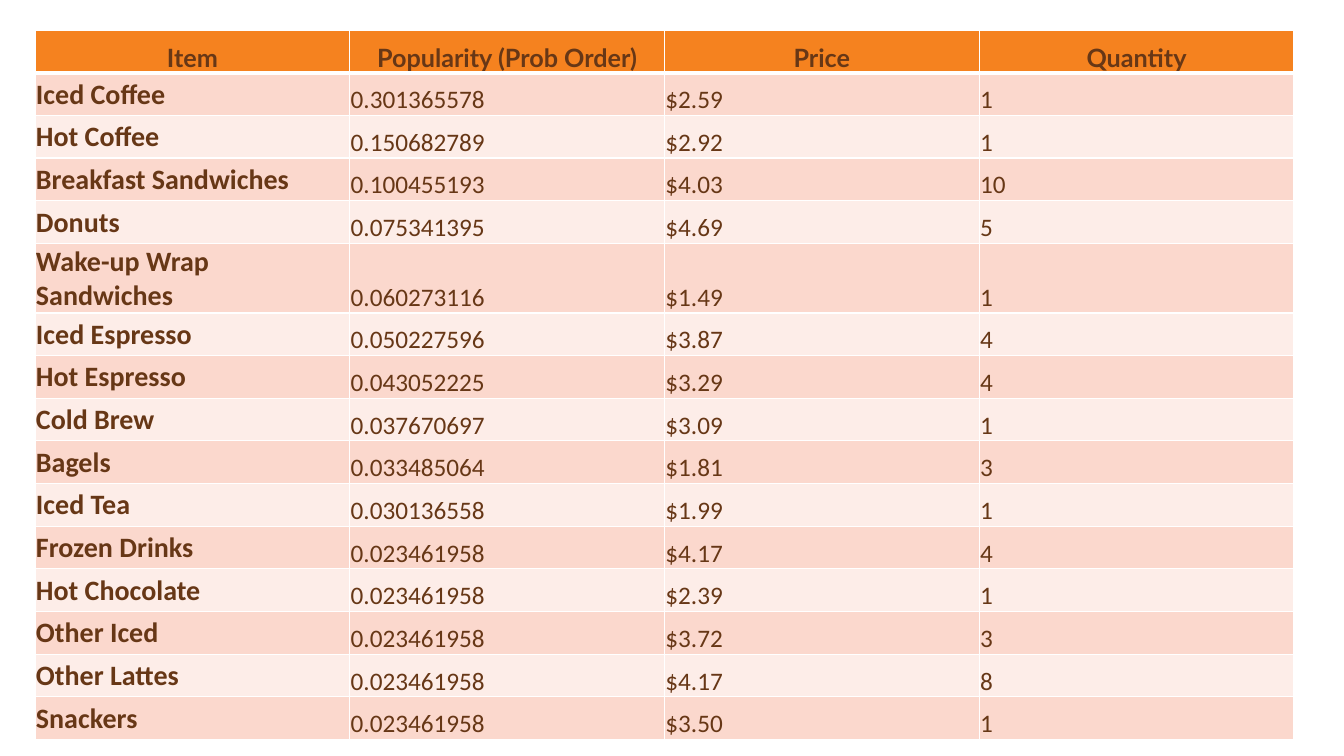
"""Build a menu table slide with order probability, price and quantity per item."""
import pptx
import pptx.dml.color
import pptx.enum.text
import pptx.util
from lxml import etree

HEADINGS = ("Item", "Popularity (Prob Order)", "Price", "Quantity")
MENU = [
    ("Iced Coffee", "0.301365578", "$2.59", "1"),
    ("Hot Coffee", "0.150682789", "$2.92", "1"),
    ("Breakfast Sandwiches", "0.100455193", "$4.03", "10"),
    ("Donuts", "0.075341395", "$4.69", "5"),
    ("Wake-up Wrap Sandwiches", "0.060273116", "$1.49", "1"),
    ("Iced Espresso", "0.050227596", "$3.87", "4"),
    ("Hot Espresso", "0.043052225", "$3.29", "4"),
    ("Cold Brew", "0.037670697", "$3.09", "1"),
    ("Bagels", "0.033485064", "$1.81", "3"),
    ("Iced Tea", "0.030136558", "$1.99", "1"),
    ("Frozen Drinks", "0.023461958", "$4.17", "4"),
    ("Hot Chocolate", "0.023461958", "$2.39", "1"),
    ("Other Iced", "0.023461958", "$3.72", "3"),
    ("Other Lattes", "0.023461958", "$4.17", "8"),
    ("Snackers", "0.023461958", "$3.50", "1"),
]
BROWN, ORANGE, WHITE = "673716", "F5821F", "FFFFFF"
BANDS = ("FBD8CD", "FDEDE8")
SLIDE_SIZE = (1344, 756)
MENU_BOX = (35, 30, 1259, 683)
INSET = 1
DRAWING_NS = "http://schemas.openxmlformats.org/drawingml/2006/main"


def px(length):
    return round(length * 914400 / 100.8)


def color(code):
    return pptx.dml.color.RGBColor.from_string(code)


def set_borders(cell, top, bottom):
    properties = cell._tc.get_or_add_tcPr()
    sides = (("lnL", 1), ("lnR", 1), ("lnT", top), ("lnB", bottom))
    for position, (side, width) in enumerate(sides):
        border = etree.Element(f"{{{DRAWING_NS}}}{side}", w=str(pptx.util.Pt(width)))
        paint = etree.SubElement(border, f"{{{DRAWING_NS}}}solidFill")
        etree.SubElement(paint, f"{{{DRAWING_NS}}}srgbClr", val=WHITE)
        properties.insert(position, border)


def write_cell(cell, words, row, column):
    heading = row == 0
    item = column == 0 and not heading
    anchors = pptx.enum.text.MSO_ANCHOR
    cell.vertical_anchor = anchors.MIDDLE if item else anchors.BOTTOM
    cell.margin_left = cell.margin_right = cell.margin_top = px(INSET)
    cell.margin_bottom = 0
    cell.fill.solid()
    cell.fill.fore_color.rgb = color(ORANGE if heading else BANDS[(row - 1) % 2])
    set_borders(cell, 3 if row == 1 else 1, 3 if heading else 1)
    paragraph = cell.text_frame.paragraphs[0]
    aligns = pptx.enum.text.PP_ALIGN
    paragraph.alignment = aligns.CENTER if heading else aligns.LEFT
    run = paragraph.add_run()
    run.text = words
    run.font.name = "Lato" if heading else "Calibri"
    run.font.size = pptx.util.Pt(20 if item else 18)
    run.font.bold = heading or item
    run.font.color.rgb = color(BROWN)


def main():
    deck = pptx.Presentation()
    deck.slide_width, deck.slide_height = map(px, SLIDE_SIZE)
    slide = deck.slides.add_slide(deck.slide_layouts[6])
    rows = [HEADINGS, *MENU]
    menu = slide.shapes.add_table(len(rows), len(HEADINGS), *map(px, MENU_BOX)).table
    for row, entries in enumerate(rows):
        for column, words in enumerate(entries):
            write_cell(menu.cell(row, column), words, row, column)
    deck.save("out.pptx")


if __name__ == "__main__":
    main()
